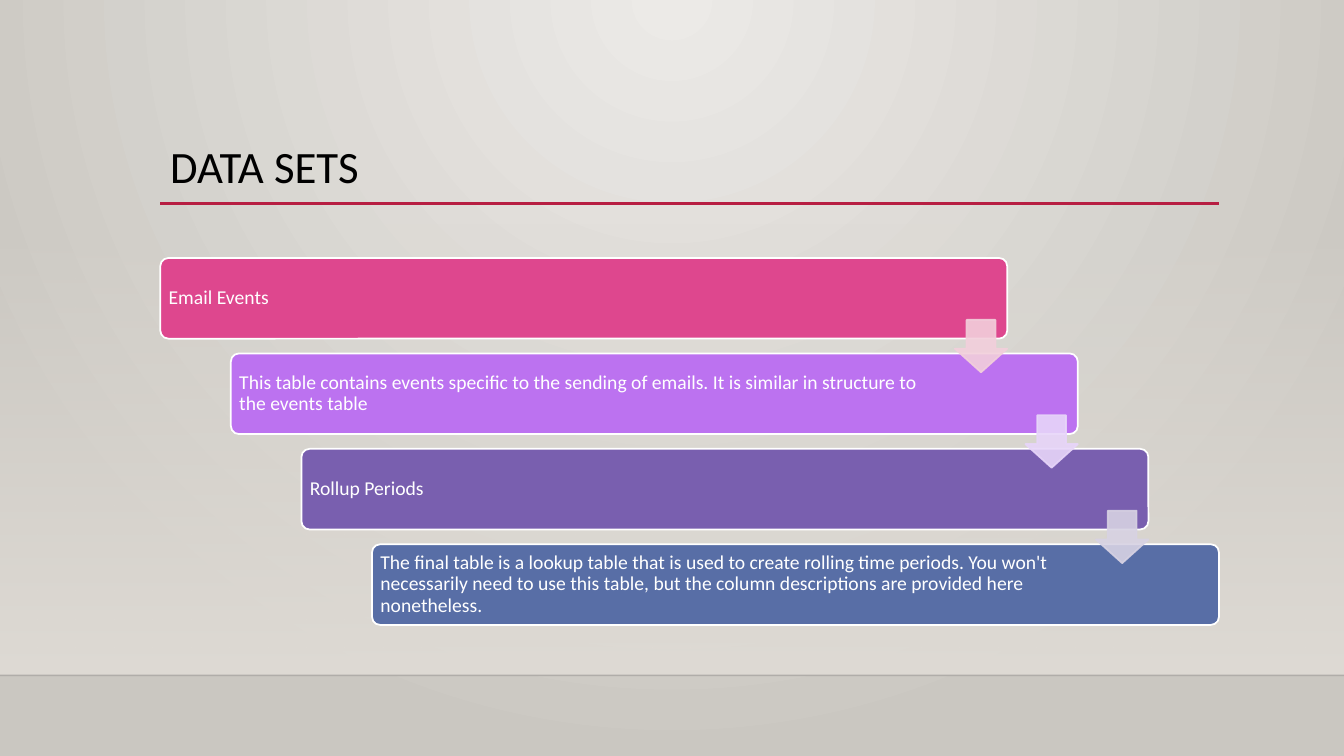
from dataclasses import dataclass

import pptx
import pptx.dml.color
import pptx.enum.shapes
import pptx.enum.text
import pptx.oxml.ns
import pptx.oxml.xmlchemy
import pptx.util
from pptx.util import Inches

SLIDE_W, SLIDE_H = 13.33, 7.5
FLOOR_TOP = 6.7
CONTENT_LEFT, CONTENT_W = 1.59, 10.5
STAIRS_TOP, STAIRS_BOTTOM = 2.56, 6.2
CARD_W, CARD_H = 0.8 * CONTENT_W, 0.8
ARROW_SIZE = 0.52


@dataclass(frozen=True)
class Theme:
    font: str = "Calibri"
    title_size: int = 32
    card_size: int = 14
    outline: float = 1.25
    title: str = "000000"
    card_text: str = "FFFFFF"
    rule: str = "B71E42"
    floor_edge: str = "000001"
    wall: str = "DFDBD5"
    glow: tuple = ("ECEAE7", "CAC7C1")
    cards: tuple = ("DE478E", "BC72F0", "795FAF", "586EA6")
    arrows: tuple = ("F2CFDB", "E7D5F9", "D7D2E3")


THEME = Theme()

CARD_TEXTS = (
    "Email Events",
    "This table contains events specific to the sending of emails. "
    "It is similar in structure to the events table",
    "Rollup Periods",
    "The final table is a lookup table that is used to create rolling time periods. "
    "You won't necessarily need to use this table, but the column descriptions "
    "are provided here nonetheless.",
)


def rgb(code):
    return pptx.dml.color.RGBColor.from_string(code)


def new_element(tag):
    return pptx.oxml.xmlchemy.OxmlElement(tag)


def find_all(element, tag):
    return list(element.iter(pptx.oxml.ns.qn(tag)))


def set_opacity(color_element, percent):
    alpha = new_element("a:alpha")
    alpha.set("val", str(percent * 1000))
    color_element.append(alpha)


def fill_gradient(fill, colors):
    fill.gradient()
    for stop, color, position in zip(fill.gradient_stops, colors, (0, 1)):
        stop.color.rgb = rgb(color)
        stop.position = position


def paint_background(slide):
    """Spread a round glow from the middle of the top edge."""
    fill_gradient(slide.background.fill, THEME.glow)
    gradient = find_all(slide.element, "a:gradFill")[0]
    for linear in find_all(gradient, "a:lin"):
        gradient.remove(linear)
    glow = new_element("a:path")
    glow.set("path", "circle")
    center = new_element("a:fillToRect")
    for side, share in (("l", 43), ("t", 0), ("r", 43), ("b", 100)):
        center.set(side, str(share * 1000))
    glow.append(center)
    gradient.append(glow)


def add_block(slide, preset, left, top, width, height):
    block = slide.shapes.add_shape(
        preset, Inches(left), Inches(top), Inches(width), Inches(height))
    block.shadow.inherit = False
    return block


def add_wall(slide):
    """Fade from clear to solid, down to the floor."""
    top = 2.21
    wall = add_block(slide, pptx.enum.shapes.MSO_SHAPE.RECTANGLE,
                     0, top, SLIDE_W, FLOOR_TOP - top)
    wall.line.fill.background()
    fill_gradient(wall.fill, (THEME.wall, THEME.wall))
    wall.fill.gradient_angle = 270
    set_opacity(find_all(wall.element.spPr, "a:srgbClr")[0], 0)


def add_rule(slide, left, right, y, color, weight, opacity=100):
    rule = slide.shapes.add_connector(
        pptx.enum.shapes.MSO_CONNECTOR.STRAIGHT,
        Inches(left), Inches(y), Inches(right), Inches(y))
    rule.line.color.rgb = rgb(color)
    rule.line.width = pptx.util.Pt(weight)
    properties = rule.element.spPr
    properties.append(new_element("a:effectLst"))
    if opacity < 100:
        set_opacity(find_all(properties, "a:srgbClr")[0], opacity)


def write(frame, text, size, color, anchor, insets):
    """Set one left-aligned paragraph; insets run left, top, right, bottom."""
    frame.word_wrap = True
    frame.vertical_anchor = anchor
    (frame.margin_left, frame.margin_top,
     frame.margin_right, frame.margin_bottom) = map(Inches, insets)
    paragraph = frame.paragraphs[0]
    paragraph.alignment = pptx.enum.text.PP_ALIGN.LEFT
    paragraph.line_spacing = 0.9
    run = paragraph.add_run()
    run.text = text
    run.font.name = THEME.font
    run.font.size = pptx.util.Pt(size)
    run.font.color.rgb = rgb(color)


def add_title(slide, text):
    title = slide.shapes.add_textbox(
        Inches(CONTENT_LEFT), Inches(0.88), Inches(CONTENT_W), Inches(1.15))
    write(title.text_frame, text, THEME.title_size, THEME.title,
          pptx.enum.text.MSO_ANCHOR.BOTTOM, (0.1, 0.05, 0.1, 0.11))


def paint(block, fill, outline):
    block.fill.solid()
    block.fill.fore_color.rgb = rgb(fill)
    block.line.color.rgb = rgb(outline)
    block.line.width = pptx.util.Pt(THEME.outline)


def add_card(slide, left, top, text, color):
    card = add_block(slide, pptx.enum.shapes.MSO_SHAPE.ROUNDED_RECTANGLE,
                     left, top, CARD_W, CARD_H)
    card.adjustments[0] = 0.1
    paint(card, color, THEME.card_text)
    write(card.text_frame, text, THEME.card_size, THEME.card_text,
          pptx.enum.text.MSO_ANCHOR.MIDDLE, (0.06, 0.06, 1.29, 0.06))


def add_arrow(slide, right, middle, color):
    arrow = add_block(slide, pptx.enum.shapes.MSO_SHAPE.DOWN_ARROW,
                      right - ARROW_SIZE, middle - ARROW_SIZE / 2,
                      ARROW_SIZE, ARROW_SIZE)
    # The preset lists the shaft width first, then the head length.
    arrow.adjustments[0] = 0.55
    arrow.adjustments[1] = 0.45
    paint(arrow, color, color)
    for tint in find_all(arrow.element.spPr, "a:srgbClr"):
        set_opacity(tint, 90)


def add_staircase(slide):
    """Step the cards down to the right, an arrow across each gap."""
    steps = len(CARD_TEXTS) - 1
    column = (CONTENT_W - CARD_W) / steps
    row = (STAIRS_BOTTOM - STAIRS_TOP - CARD_H) / steps
    corners = [(CONTENT_LEFT + i * column, STAIRS_TOP + i * row)
               for i in range(steps + 1)]
    for (left, top), text, color in zip(corners, CARD_TEXTS, THEME.cards):
        add_card(slide, left, top, text, color)
    for (left, top), color in zip(corners, THEME.arrows):
        add_arrow(slide, left + CARD_W, top + (CARD_H + row) / 2, color)


def main():
    deck = pptx.Presentation()
    deck.slide_width, deck.slide_height = Inches(SLIDE_W), Inches(SLIDE_H)
    slide = deck.slides.add_slide(deck.slide_layouts[6])
    paint_background(slide)
    add_wall(slide)
    add_rule(slide, 0, SLIDE_W, FLOOR_TOP, THEME.floor_edge, 1, opacity=20)
    add_rule(slide, CONTENT_LEFT, CONTENT_LEFT + CONTENT_W, 2.02, THEME.rule, 2.5)
    add_title(slide, "DATA SETS")
    add_staircase(slide)
    deck.save("out.pptx")


if __name__ == "__main__":
    main()
